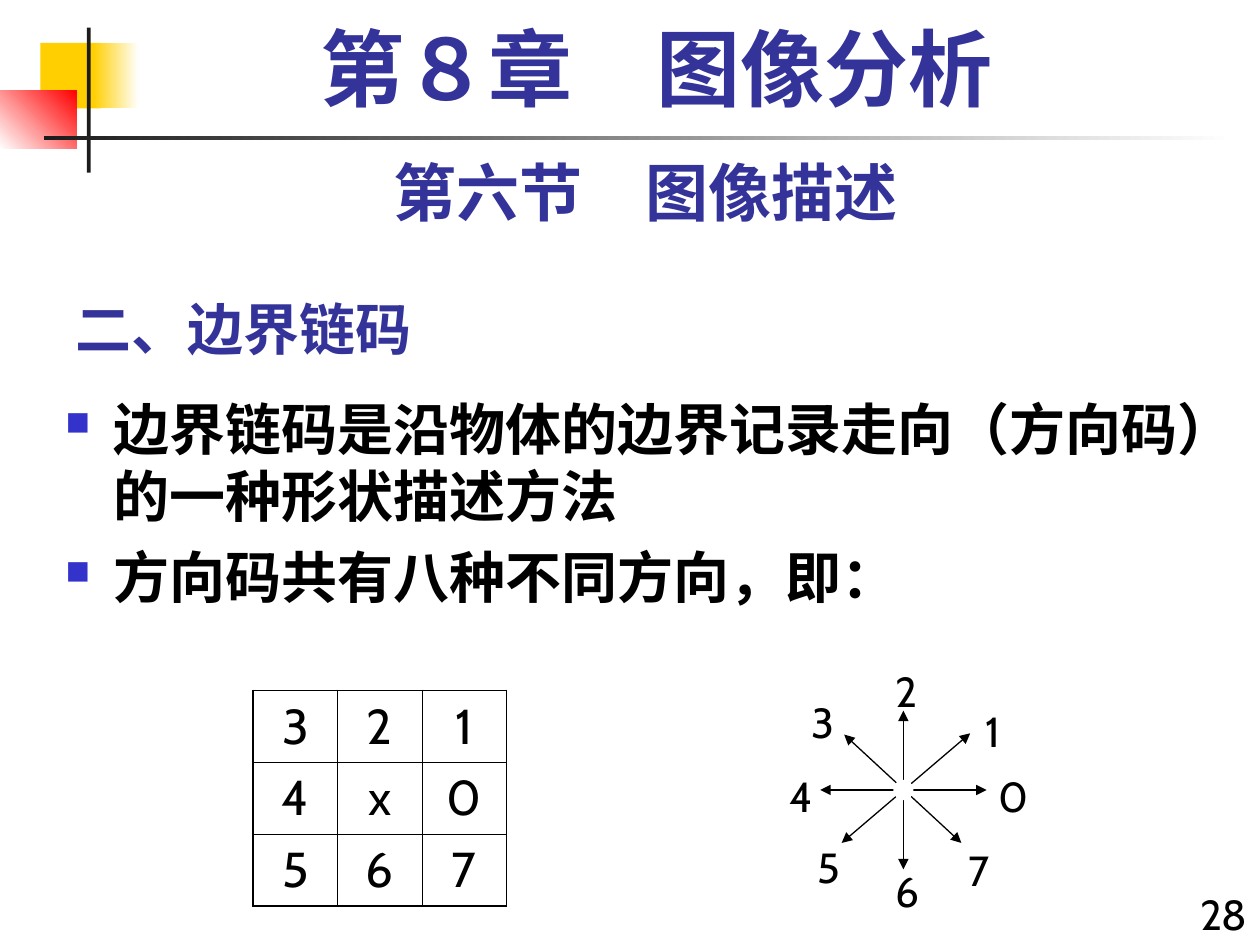
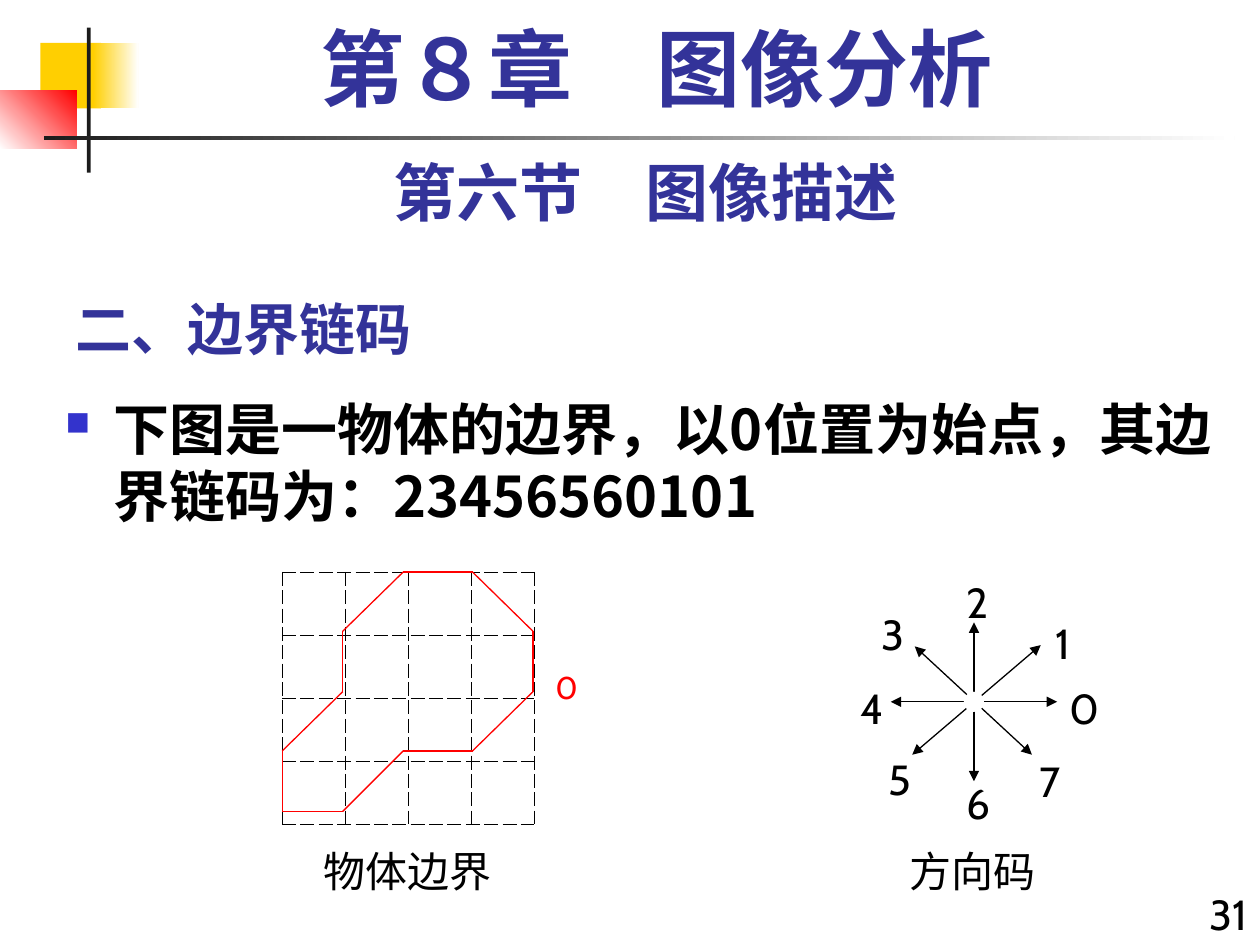
from dataclasses import dataclass
from itertools import pairwise, product

from lxml import etree
from pptx import Presentation
from pptx import util as u
from pptx.dml.color import RGBColor
from pptx.enum import shapes, text
from pptx.oxml import ns

NAVY = RGBColor(0x33, 0x33, 0x99)
BULLET_BLUE = RGBColor(0x33, 0x33, 0xCC)
GOLD = RGBColor(0xFF, 0xCF, 0x01)
RED = RGBColor(0xFF, 0x00, 0x00)
CHARCOAL = RGBColor(0x1C, 0x1C, 0x1C)
BLACK = RGBColor(0x00, 0x00, 0x00)
WHITE = RGBColor(0xFF, 0xFF, 0xFF)

CABIN = "Cabin"
NOTO = "Noto Sans CJK SC"
TIMES = "Times New Roman"

ALIGN = text.PP_ALIGN
ANCHOR = text.MSO_ANCHOR


@dataclass(frozen=True)
class TextStyle:
    size: float
    color: RGBColor = BLACK
    font: str = CABIN
    bold: bool = False
    align: ALIGN = ALIGN.LEFT
    anchor: ANCHOR = ANCHOR.TOP
    line_spacing: float = 1.0
    bulleted: bool = False


@dataclass(frozen=True)
class Band:
    left: float
    top: float
    width: float
    height: float
    start: RGBColor
    end: RGBColor | None = None
    angle: float = 0


@dataclass(frozen=True)
class Direction:
    dx: int
    dy: int
    label_x: float
    label_y: float


CHAPTER = TextStyle(48, NAVY, TIMES, True, ALIGN.CENTER, line_spacing=0.9)
SECTION = TextStyle(36, NAVY, bold=True, align=ALIGN.CENTER)
TOPIC = TextStyle(32, NAVY, NOTO, True, anchor=ANCHOR.BOTTOM)
BODY = TextStyle(32, BLACK, NOTO, True, bulleted=True)
PAGE = TextStyle(24, align=ALIGN.RIGHT)
CAPTION = TextStyle(24, align=ALIGN.CENTER)
CODE_CELL = TextStyle(28, align=ALIGN.CENTER)
CODE_LABEL = TextStyle(24)
START_LABEL = TextStyle(18, RED, align=ALIGN.CENTER)

BANDS = [
    Band(0.32, 0.34, 0.48, 0.52, GOLD),
    Band(0.74, 0.34, 0.36, 0.52, GOLD, WHITE),
    Band(0, 0.72, 0.61, 0.46, WHITE, RED, 45),
    Band(0.69, 0.22, 0.03, 1.15, CHARCOAL),
    Band(0.35, 1.08, 9.45, 0.03, CHARCOAL, WHITE),
]

DIRECTIONS = [
    Direction(1, 0, 0.66, -0.2),
    Direction(1, -1, 0.55, -0.72),
    Direction(0, -1, -0.16, -1.04),
    Direction(-1, -1, -0.83, -0.79),
    Direction(-1, 0, -1.0, -0.2),
    Direction(-1, 1, -0.78, 0.36),
    Direction(0, 1, -0.16, 0.55),
    Direction(1, 1, 0.42, 0.38),
]
COMPASS_AXES = [
    (-0.66, 0, 0.66, 0),
    (-0.49, 0.42, 0.53, -0.45),
    (0, 0.63, 0, -0.63),
    (-0.47, -0.44, 0.46, 0.42),
]

CODE_GRID = ["321", "4x0", "567"]
CHAIN_CODE = "23456560101"
CHAIN_START = (4, 2)
BOUNDARY_X = (2.24, 2.72, 3.2, 3.75, 4.23)
BOUNDARY_Y = (4.54, 5.01, 5.49, 5.96, 6.44)


def add_xml(parent, tag: str, **attributes):
    return etree.SubElement(parent, ns.qn(tag), attributes)


def add_bullet(paragraph) -> None:
    properties = paragraph._p.get_or_add_pPr()
    properties.set("marL", str(u.Inches(0.38)))
    properties.set("indent", str(-u.Inches(0.38)))
    color = add_xml(properties, "a:buClr")
    add_xml(color, "a:srgbClr", val=str(BULLET_BLUE))
    add_xml(properties, "a:buSzPct", val="60000")
    add_xml(properties, "a:buChar", char="■")


def write(frame, lines: list[str], style: TextStyle) -> None:
    for index, line in enumerate(lines):
        paragraph = frame.add_paragraph() if index else frame.paragraphs[0]
        paragraph.alignment = style.align
        paragraph.line_spacing = style.line_spacing
        if index:
            paragraph.space_before = u.Pt(8)
        if style.bulleted:
            add_bullet(paragraph)
        run = paragraph.add_run()
        run.text = line
        formats = {"size": u.Pt(style.size), "bold": style.bold, "name": style.font}
        for attribute, value in formats.items():
            setattr(run.font, attribute, value)
        run.font.color.rgb = style.color
        add_xml(run._r.get_or_add_rPr(), "a:ea", typeface=CABIN)


def add_text(parent, left: float, top: float, width: float, height: float,
             lines: list[str], style: TextStyle) -> None:
    box = parent.add_textbox(*map(u.Inches, (left, top, width, height)))
    formats = {"word_wrap": True, "vertical_anchor": style.anchor}
    for attribute, value in formats.items():
        setattr(box.text_frame, attribute, value)
    write(box.text_frame, lines, style)


def add_band(parent, band: Band) -> None:
    place = map(u.Inches, (band.left, band.top, band.width, band.height))
    shape = parent.add_shape(shapes.MSO_SHAPE.RECTANGLE, *place)
    shape.shadow.inherit = False
    shape.line.fill.background()
    if band.end is None:
        shape.fill.solid()
        shape.fill.fore_color.rgb = band.start
        return
    shape.fill.gradient()
    shape.fill.gradient_angle = band.angle
    stops = zip(shape.fill.gradient_stops, (0, 1), (band.start, band.end))
    for stop, position, color in stops:
        stop.position = position
        stop.color.rgb = color


def add_line(parent, start: tuple[float, float], end: tuple[float, float],
             color: RGBColor, arrows: bool = False) -> None:
    line = parent.add_connector(shapes.MSO_CONNECTOR.STRAIGHT,
                                *map(u.Inches, (*start, *end)))
    line.line.width = u.Pt(0.75)
    line.line.color.rgb = color
    if arrows:
        for tag in ("a:headEnd", "a:tailEnd"):
            add_xml(line.line._get_or_add_ln(), tag, type="triangle")
    add_xml(line._element.spPr, "a:effectLst")


def add_grid(slide, left: float, top: float, column: float, row: float,
             count: int, outer: float, inner: float, dash: str):
    frame = slide.shapes.add_table(
        count, count,
        *map(u.Inches, (left, top, column * count, row * count)))
    grid = frame.table
    grid.first_row = grid.horz_banding = False
    for r, c in product(range(count), repeat=2):
        cell = grid.cell(r, c)
        edges = {"L": c == 0, "R": c == count - 1,
                 "T": r == 0, "B": r == count - 1}
        for side, on_rim in edges.items():
            width = u.Pt(outer if on_rim else inner)
            border = add_xml(cell._tc.get_or_add_tcPr(), f"a:ln{side}", w=str(width))
            fill = add_xml(border, "a:solidFill")
            add_xml(fill, "a:srgbClr", val=str(BLACK))
            add_xml(border, "a:prstDash", val=dash)
        cell.fill.background()
    return grid


def add_compass(slide, x: float, y: float) -> None:
    compass = slide.shapes.add_group_shape().shapes
    for x1, y1, x2, y2 in COMPASS_AXES:
        add_line(compass, (x + x1, y + y1), (x + x2, y + y2), BLACK, True)
    hub = compass.add_shape(shapes.MSO_SHAPE.OVAL,
                            *map(u.Inches, (x - 0.08, y - 0.08, 0.16, 0.16)))
    hub.shadow.inherit = False
    hub.fill.solid()
    hub.fill.fore_color.rgb = WHITE
    hub.line.fill.background()
    for code, direction in enumerate(DIRECTIONS):
        add_text(compass, x + direction.label_x, y + direction.label_y,
                 0.33, 0.5, [str(code)], CODE_LABEL)


def add_boundary(slide) -> None:
    boundary = slide.shapes.add_group_shape().shapes
    nodes = [CHAIN_START]
    for code in CHAIN_CODE:
        step = DIRECTIONS[int(code)]
        column, row = nodes[-1]
        nodes.append((column + step.dx, row + step.dy))
    corners = [(BOUNDARY_X[column], BOUNDARY_Y[row]) for column, row in nodes]
    for start, end in pairwise(corners):
        add_line(boundary, start, end, RED)
    add_text(boundary, 4.31, 5.25, 0.32, 0.4, ["0"], START_LABEL)


def add_chapter_slide(deck, page: int, points: list[str]):
    slide = deck.slides.add_slide(deck.slide_layouts[6])
    for band in BANDS:
        add_band(slide.shapes, band)
    add_text(slide.shapes, 0.5, 2.17, 6.15, 0.75, ["二、边界链码"], TOPIC)
    add_text(slide.shapes, 9.33, 7, 0.67, 0.5, [str(page)], PAGE)
    add_text(slide.shapes, 0.5, 1.17, 9.25, 0.7, ["第六节　图像描述"], SECTION)
    add_text(slide.shapes, 0.42, 3.08, 9.58, 4.42, points, BODY)
    add_text(slide.shapes, 0.67, 0.17, 9.08, 0.83, ["第８章　图像分析"], CHAPTER)
    return slide


def add_direction_slide(deck) -> None:
    slide = add_chapter_slide(deck, 28, [
        "边界链码是沿物体的边界记录走向（方向码）的一种形状描述方法",
        "方向码共有八种不同方向，即：",
    ])
    codes = add_grid(slide, 2.01, 5.48, 0.67, 0.57, 3, 1.08, 0.45, "solid")
    for r, line in enumerate(CODE_GRID):
        for c, code in enumerate(line):
            write(codes.cell(r, c).text_frame, [code], CODE_CELL)
    add_compass(slide, 7.17, 6.27)


def add_example_slide(deck) -> None:
    slide = add_chapter_slide(deck, 31, [
        f"下图是一物体的边界，以0位置为始点，其边界链码为：{CHAIN_CODE}",
    ])
    add_compass(slide, 7.73, 5.57)
    add_text(slide.shapes, 2.09, 6.66, 2.29, 0.5, ["物体边界"], CAPTION)
    add_text(slide.shapes, 7.05, 6.66, 1.34, 0.5, ["方向码"], CAPTION)
    add_grid(slide, 2.24, 4.54, 0.5, 0.5, 4, 0.23, 0.23, "dash")
    add_boundary(slide)


def main() -> None:
    deck = Presentation()
    deck.slide_width, deck.slide_height = u.Inches(10), u.Inches(7.5)
    add_direction_slide(deck)
    add_example_slide(deck)
    deck.save("out.pptx")


if __name__ == "__main__":
    main()
